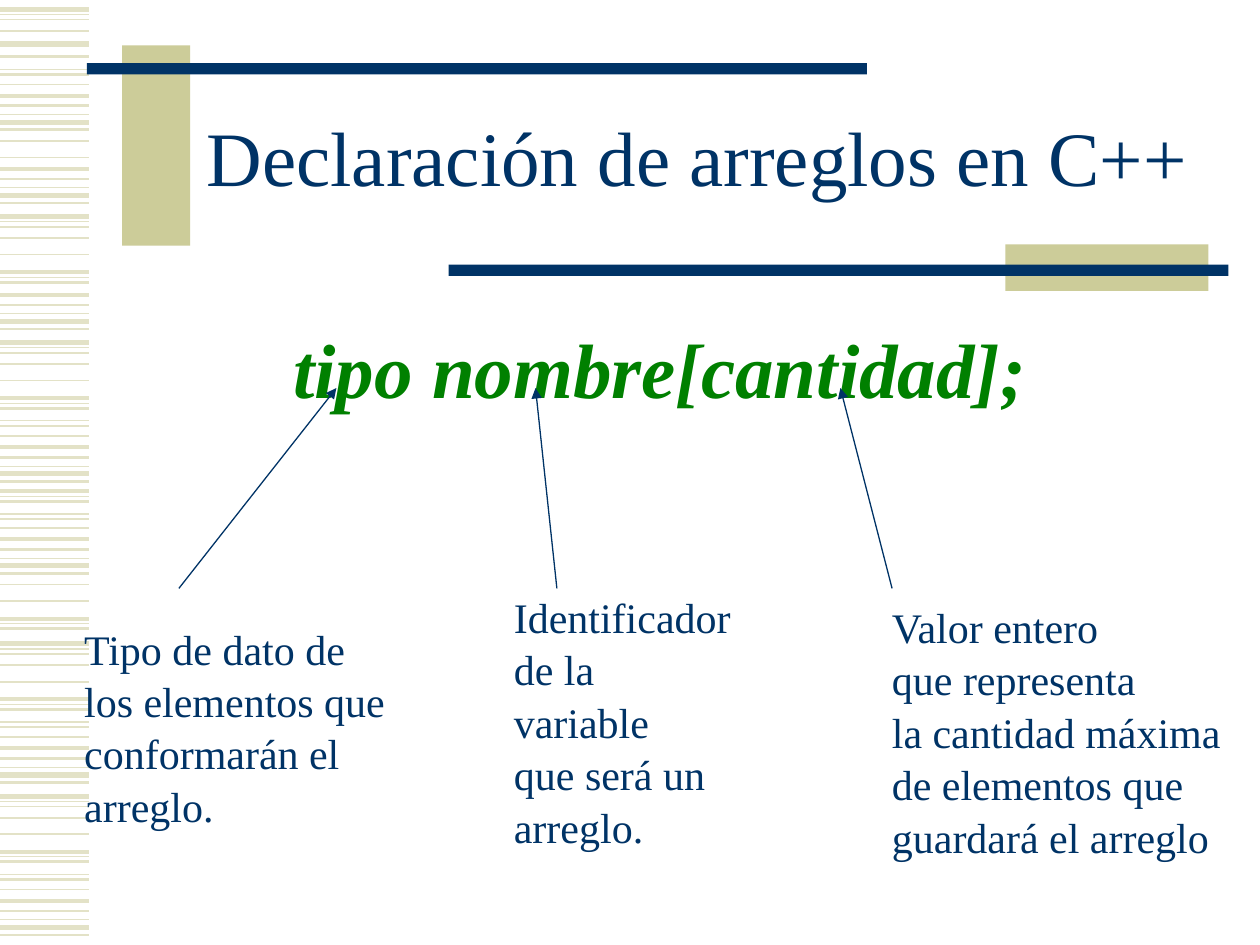
from lxml.etree import SubElement
from pptx import Presentation
from pptx.dml.color import RGBColor
from pptx.enum.shapes import MSO_CONNECTOR as CONN, MSO_SHAPE as SHAPE
from pptx.enum.text import MSO_ANCHOR as ANCHOR, MSO_AUTO_SIZE as AUTO, PP_ALIGN as ALIGN
from pptx.oxml.ns import qn
from pptx.util import Inches, Pt

THEME = {
    "navy": RGBColor.from_string("003366"),
    "khaki": RGBColor.from_string("CCCC99"),
    "stripe": RGBColor.from_string("E3E2C7"),
    "green": RGBColor.from_string("008000"),
    "font": "Times New Roman",
    "big": Pt(44),
    "note": Pt(24),
}

# Grid of square cells: 100 columns by 75 rows
COLS, ROWS = 100, 75
CELL = Inches(10) / COLS

prs = Presentation()
prs.slide_width, prs.slide_height = int(COLS * CELL), int(ROWS * CELL)
s = prs.slides.add_slide(prs.slide_layouts[1])
title, body = s.placeholders


def add_line(start, end, color, weight):
    ends = [int(v * CELL) for v in (*start, *end)]
    line = s.shapes.add_connector(CONN.STRAIGHT, *ends)
    line.line.color.rgb, line.line.width = THEME[color], Pt(weight)
    SubElement(line._element.spPr, qn("a:effectLst"))
    return line


def set_text(sp, box, lines, frame, para, font):
    for name, v in zip(("left", "top", "width", "height"), box):
        setattr(sp, name, int(v * CELL))
    tf = sp.text_frame
    for name, value in frame.items():
        setattr(tf, name, value)
    for i, text in enumerate(lines):
        p = tf.paragraphs[0] if i == 0 else tf.add_paragraph()
        for name, value in para.items():
            setattr(p, name, value)
        r = p.add_run()
        r.text = text
        r.font.name = THEME["font"]
        for name, value in font.items():
            setattr(r.font, name, value)
        r.font.color.rgb = THEME["navy"]


# Striped left margin: two motifs of (row offset, weight), repeated whole or in part
SHORT = [(0, 1), (0.9, 2.25), (1.7, 1.5), (2.4, 0.75), (3, 3), (3.6, 1.5)]
LONG = [(0, 3), (0.4, 0.75), (0.8, 1), (1.7, 1), (3, 1), (4.4, 2.25),
        (4.8, 0.75), (5.2, 1.5), (6.2, 0.75), (6.6, 1.5)]
stripes = [
    (0.75, LONG[:4]), (3.5, LONG[:1]), (-0.7, LONG[7:]),
    (6.7, SHORT), (8.2, LONG[4:5]), (12.5, SHORT),
    (17.2, LONG[:8]), (22.5, SHORT[1:]), (27.2, LONG),
    (34.6, SHORT), (34.6, LONG[5:]), (41.9, SHORT), (44.7, LONG[3:8]),
    (51.1, LONG), (58.5, SHORT), (63.2, LONG), (70.6, SHORT),
]
for top, motif in stripes:
    for offset, weight in motif:
        add_line((0, top + offset), (7.1, top + offset), "stripe", weight)

# Blocks and bars around the title
for color, box in [
    ("khaki", (9.7, 3.6, 5.4, 15.9)),
    ("navy", (6.9, 5, 61.9, 0.9)),
    ("khaki", (79.8, 19.4, 16.1, 3.7)),
    ("navy", (35.6, 21, 61.9, 0.9)),
]:
    sp = s.shapes.add_shape(SHAPE.RECTANGLE, *[int(v * CELL) for v in box])
    sp.fill.solid()
    sp.fill.fore_color.rgb = THEME[color]
    sp.line.fill.background()
    sp.shadow.inherit = False

# Title and declaration, brought in front of the decoration
for sp in (title, body):
    s.shapes._spTree.append(sp._element)
set_text(title, (15, 6.7, 80.7, 12.5), ["Declaración de arreglos en C++"],
         {"vertical_anchor": ANCHOR.MIDDLE, "auto_size": AUTO.NONE},
         {"alignment": ALIGN.CENTER, "line_spacing": 0.85},
         {"size": THEME["big"]})
set_text(body, (8.9, 24.2, 87, 42.4), ["tipo nombre[cantidad];"],
         {"auto_size": AUTO.NONE, "margin_top": Inches(0.13)},
         {"alignment": ALIGN.CENTER, "space_before": Pt(0)},
         {"size": THEME["big"], "bold": True, "italic": True})
p = body.text_frame.paragraphs[0]
p.runs[0].font.color.rgb = THEME["green"]
pPr = p._p.get_or_add_pPr()
pPr.set("marL", str(Inches(0.38)))
pPr.set("indent", str(-Inches(0.38)))
SubElement(pPr, qn("a:buNone"))

# Arrows from each note up to its part of the declaration
for x_note, x_part in [(14.2, 26.7), (44.2, 42.5), (70.8, 66.7)]:
    arrow = add_line((x_note, 46.7), (x_part, 30.8), "navy", 0.75)
    SubElement(arrow.line._get_or_add_ln(), qn("a:tailEnd"), type="triangle")

# Notes
notes = [
    ((5.7, 48.8, 26.7, 17),
     ["Tipo de dato de", "los elementos que", "conformarán el", "arreglo."]),
    ((39.8, 46.3, 19.9, 17),
     ["Identificador", "de la variable", "que será un", "arreglo."]),
    ((69.8, 47.1, 28.1, 21),
     ["Valor entero", "que representa", "la cantidad máxima",
      "de elementos que", "guardará el arreglo"]),
]
for box, lines in notes:
    set_text(s.shapes.add_textbox(0, 0, 0, 0), box, lines,
             {"word_wrap": False, "auto_size": AUTO.SHAPE_TO_FIT_TEXT},
             {"alignment": ALIGN.LEFT, "line_spacing": 1.04},
             {"size": THEME["note"]})

prs.save("out.pptx")
